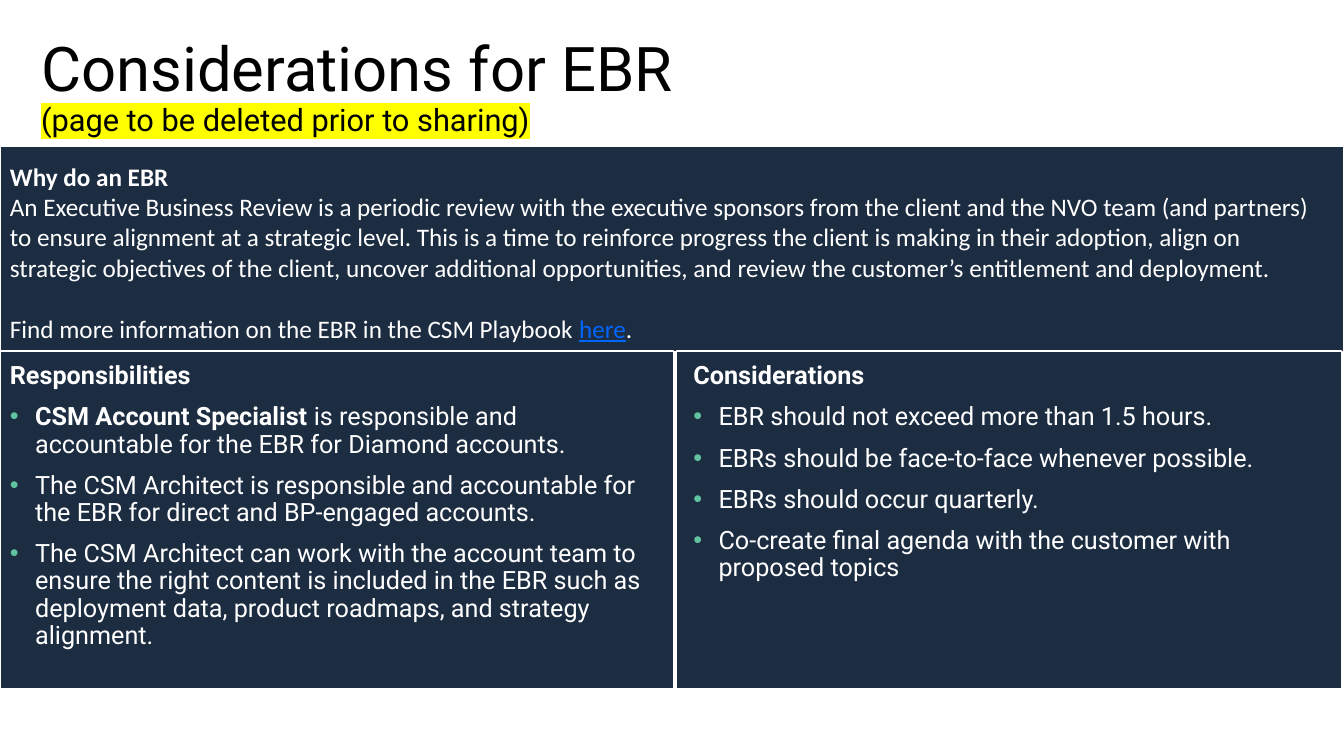
from lxml import etree
from pptx import Presentation
from pptx.dml.color import RGBColor
from pptx.enum.shapes import MSO_SHAPE
from pptx.enum.text import MSO_ANCHOR
from pptx.oxml.ns import qn
from pptx.util import Pt

RECT = MSO_SHAPE.RECTANGLE
MIDDLE = MSO_ANCHOR.MIDDLE
NAVY, WHITE, BLACK = "1C2C41", "FFFFFF", "000000"
GREEN, BLUE, YELLOW = "61C29F", "0066FF", "FFFF00"


def paint(target, shade):
    target.rgb = RGBColor.from_string(shade)


def style(para, face, shade, size=18):
    para.font.name = face
    para.font.size = Pt(size)
    paint(para.font.color, shade)


deck = Presentation()
deck.slide_width, deck.slide_height = Pt(960), Pt(540)
slide = deck.slides.add_slide(deck.slide_layouts[6])
shapes = slide.shapes

for left, top, width, height in [
    (0, 104.4, 960, 146.6),
    (0, 250.6, 481, 241.2),
    (483.1, 250.6, 475.2, 241.2),
]:
    panel = shapes.add_shape(RECT, Pt(left), Pt(top), Pt(width), Pt(height))
    panel.shadow.inherit = False
    panel.fill.solid()
    paint(panel.fill.fore_color, NAVY)
    paint(panel.line.color, WHITE)
    panel.line.width = Pt(1)

title = shapes.add_textbox(Pt(22.3), Pt(20.9), Pt(787.7), Pt(84.2)).text_frame
title.word_wrap = True
title.vertical_anchor = MIDDLE
para = title.paragraphs[0]
para.line_spacing = 0.9
style(para, "Roboto", BLACK, 44)
para.add_run().text = "Considerations for EBR"
para.add_line_break()
note = para.add_run()
note.text = "(page to be deleted prior to sharing)"
note.font.size = Pt(22)
mark = etree.SubElement(note.font._element, qn("a:highlight"))
etree.SubElement(mark, qn("a:srgbClr"), val=YELLOW)

intro = shapes.add_textbox(0, Pt(111.6), Pt(960), Pt(138.2)).text_frame
intro.word_wrap = True
head = intro.paragraphs[0]
head.text = "Why do an EBR"
head.font.bold = True
body = intro.add_paragraph()
body.text = (
    "An Executive Business Review is a periodic review with the executive "
    "sponsors from the client and the NVO team (and partners) to ensure "
    "alignment at a strategic level. This is a time to reinforce progress the "
    "client is making in their adoption, align on strategic objectives of the "
    "client, uncover additional opportunities, and review the customer’s "
    "entitlement and deployment."
)
more = intro.add_paragraph()
more.space_before = Pt(22)
more.add_run().text = "Find more information on the EBR in the CSM Playbook "
here = more.add_run()
here.text = "here"
here.font.underline = True
paint(here.font.color, BLUE)
more.add_run().text = "."
for para in intro.paragraphs:
    style(para, "Calibri", WHITE)

columns = [
    (0, 468.7, 298.8, "Responsibilities", [
        ("CSM Account Specialist ",
         "is responsible and accountable for the EBR for Diamond accounts."),
        ("", "The CSM Architect is responsible and accountable for the EBR "
         "for direct and BP-engaged accounts."),
        ("", "The CSM Architect can work with the account team to ensure the "
         "right content is included in the EBR such as deployment data, "
         "product roadmaps, and strategy alignment."),
    ]),
    (488.2, 429.8, 224.6, "Considerations", [
        ("", "EBR should not exceed more than 1.5 hours."),
        ("", "EBRs should be face-to-face whenever possible."),
        ("", "EBRs should occur quarterly."),
        ("", "Co-create final agenda with the customer with proposed topics"),
    ]),
]
for left, width, height, name, items in columns:
    frame = shapes.add_textbox(Pt(left), Pt(255.6), Pt(width), Pt(height)).text_frame
    frame.word_wrap = True
    head = frame.paragraphs[0]
    head.text = name
    head.font.bold = True
    for strong, plain in items:
        para = frame.add_paragraph()
        props = para._p.get_or_add_pPr()
        props.set("marL", str(Pt(18)))
        props.set("indent", str(Pt(-18)))
        tint = etree.SubElement(props, qn("a:buClr"))
        etree.SubElement(tint, qn("a:srgbClr"), val=GREEN)
        etree.SubElement(props, qn("a:buFont"), typeface="Arial")
        etree.SubElement(props, qn("a:buChar"), char="•")
        if strong:
            run = para.add_run()
            run.text = strong
            run.font.bold = True
        para.add_run().text = plain
    for para in frame.paragraphs:
        para.line_spacing = 0.9
        para.space_before = Pt(10)
        style(para, "Roboto", WHITE)

deck.save("out.pptx")
